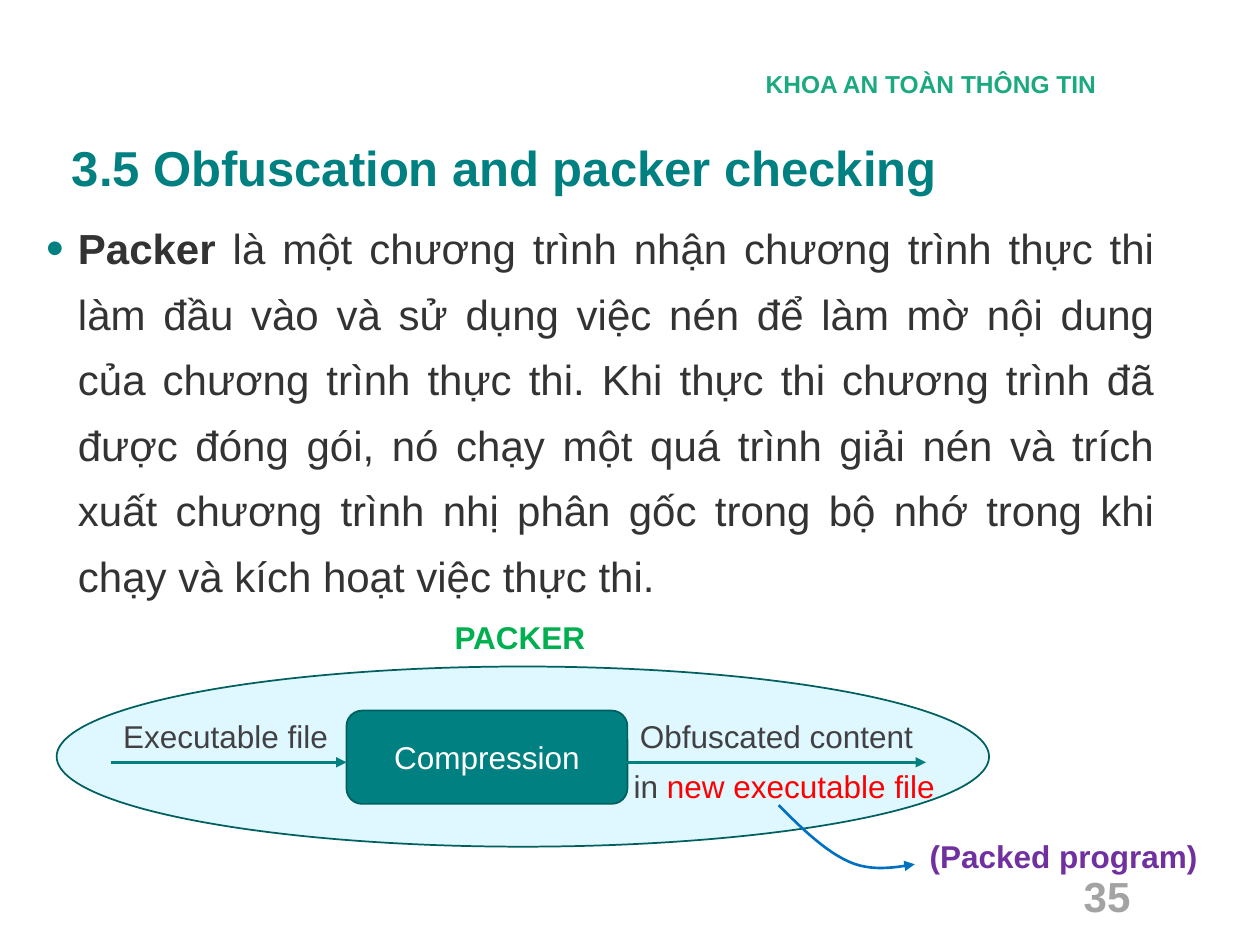
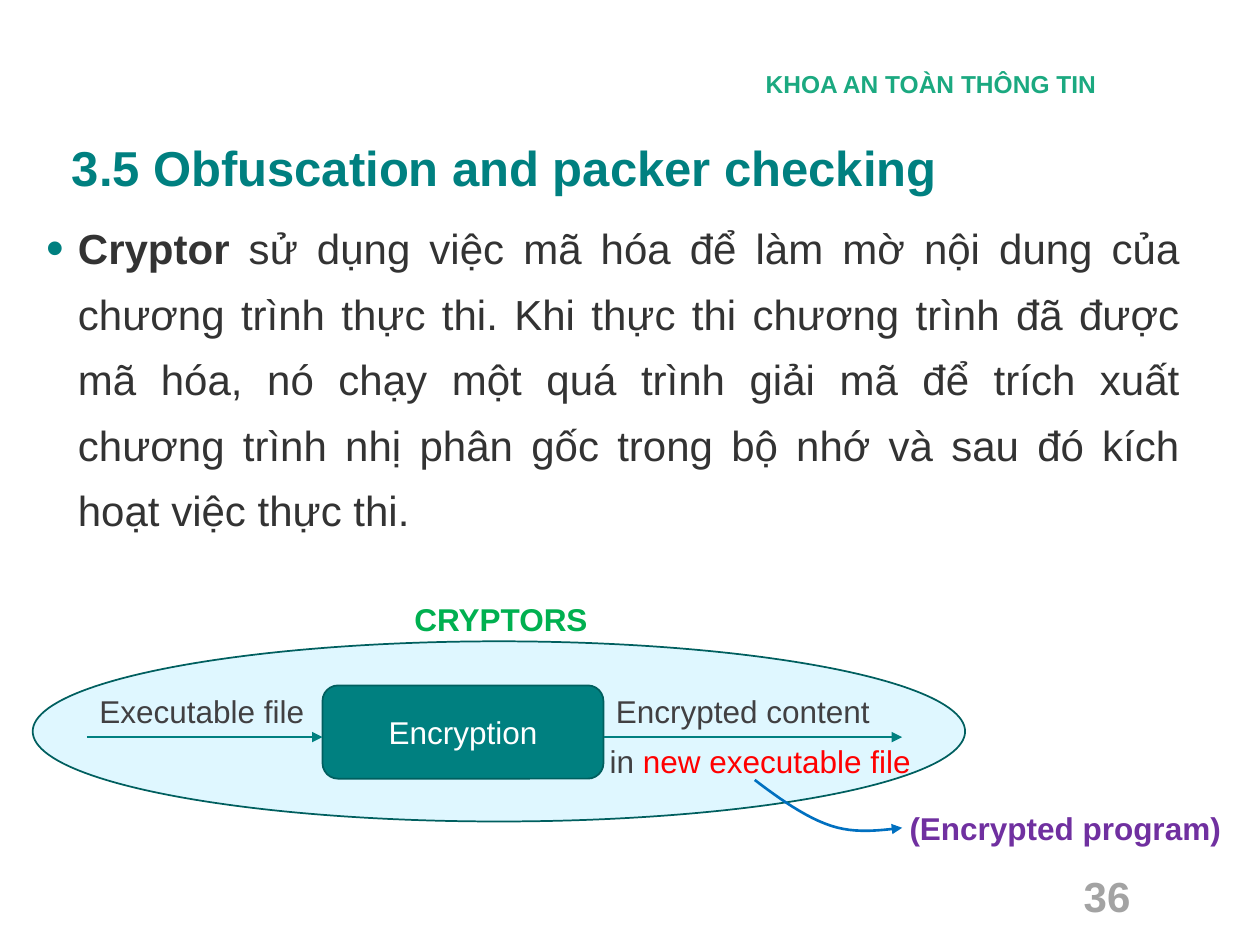
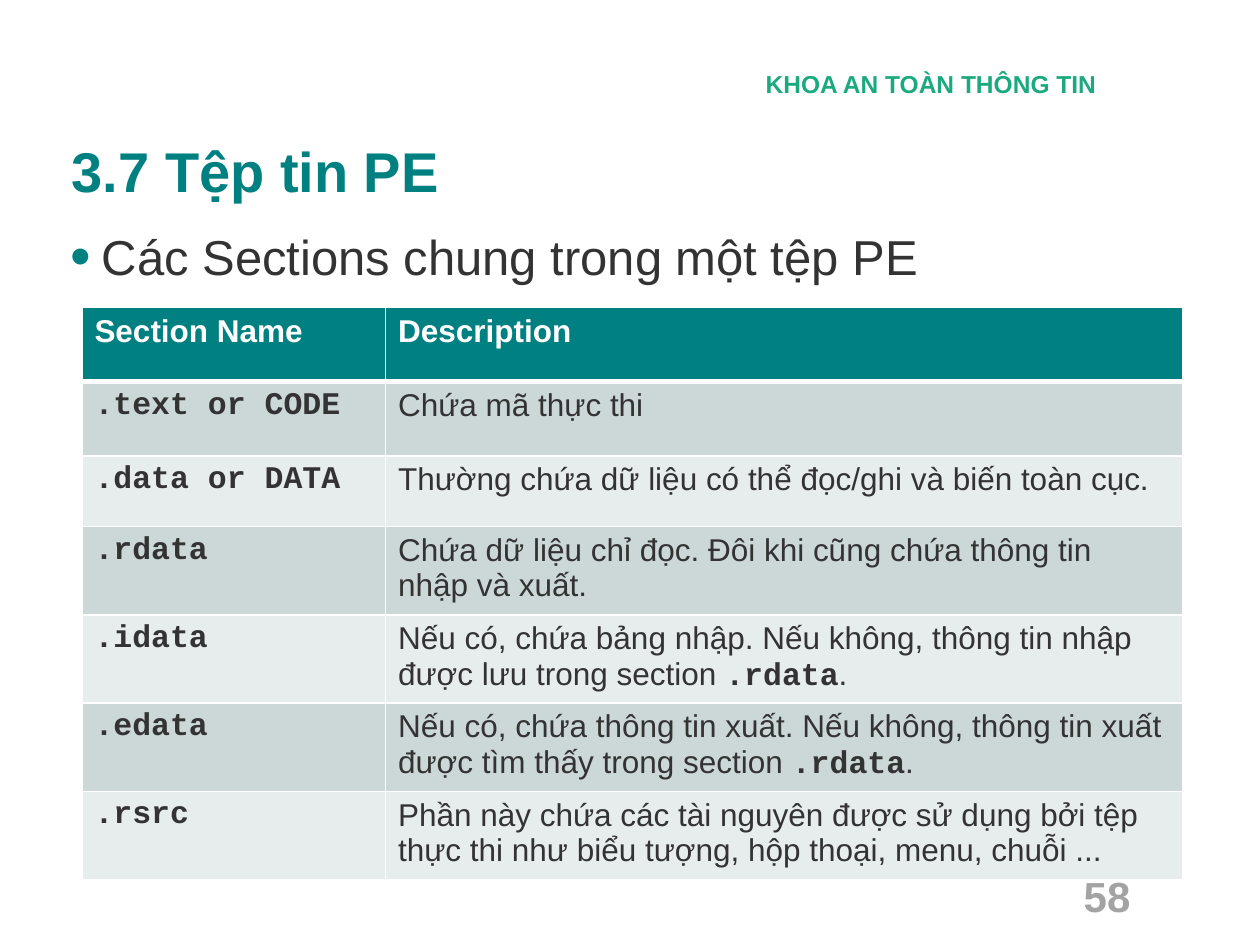
from dataclasses import dataclass
from typing import Optional

import pptx
import pptx.dml.color
import pptx.enum.shapes
import pptx.enum.text
import pptx.oxml
import pptx.oxml.ns
import pptx.shapes.autoshape
import pptx.slide
import pptx.text.text
import pptx.util
from lxml import etree

SHAPES = pptx.enum.shapes.MSO_SHAPE
ALIGN = pptx.enum.text.PP_ALIGN
ANCHOR = pptx.enum.text.MSO_ANCHOR

# The slide is a grid of 100 columns by 75 rows of square cells.
CELL = pptx.util.Inches(0.1)
COLUMNS, ROWS = 100, 75

SANS, MONO = "Arial", "Courier New"
TEAL, DARK_TEAL, PALE_BLUE = "008080", "005F5F", "A9EBFF"
INK, LABEL_GREY, PAGE_GREY = "333333", "414042", "A3A3A3"
WHITE, RED, BLUE = "FFFFFF", "FF0000", "0070C0"
FACULTY_GREEN, NAME_GREEN, PURPLE = "1BA980", "00B050", "7030A0"
BAND_FILLS = ("CCD8D8", "E7EDED")


@dataclass(frozen=True)
class Box:
    col: float
    row: float
    cols: float
    rows: float

    def shifted(self, col: float, row: float) -> "Box":
        return Box(self.col + col, self.row + row, self.cols, self.rows)

    def place(self) -> tuple[int, int, int, int]:
        return grid(self.col), grid(self.row), grid(self.cols), grid(self.rows)


@dataclass(frozen=True)
class Style:
    size: float
    color: str
    bold: bool = False
    face: str = SANS


@dataclass(frozen=True)
class Piece:
    """Part of a line whose font differs from the rest of the line."""
    text: str
    color: Optional[str] = None
    bold: Optional[bool] = None
    face: Optional[str] = None


@dataclass(frozen=True)
class Scheme:
    """One way of hiding a program, with the places of its diagram."""
    page: int
    definition: list[Piece]
    definition_box: Box
    name: str
    step: str
    content: str
    result: str
    col: float
    row: float
    name_box: Box
    result_box: Box
    curve_cols: float
    curve_rows: float


LABEL = Style(18, LABEL_GREY)
BODY = Style(24, INK)

HEADER_BOX = Box(58.7, 5, 29.3, 3.4)
PAGE_BOX = Box(56.9, 69.1, 33.8, 4)
TITLE_BOX = Box(4.7, 10.9, 87.9, 8.1)

# Diagram parts, measured from the corner of the ellipse.
ELLIPSE = Box(0, 0, 74, 14.3)
STEP = Box(23, 3.5, 22.3, 7.4)
INPUT_LABEL = Box(4.3, 3.5, 18.7, 4)
CONTENT_LABEL = Box(45.3, 3.5, 23.7, 4)
FILE_LABEL = Box(44.8, 7.5, 25.9, 4)
FLOW_ROW = 7.6
CURVE_START = (57.3, 11)
# Two cubic pieces as shares of the curve's extent.
CURVE = (((0, 0), (0.17, 0.4), (0.35, 0.79), (0.52, 0.96)),
         ((0.52, 0.96), (0.68, 1.12), (0.84, 1.06), (1, 1)))
CURVE_STEPS = 12

SCHEMES = [
    Scheme(35, [Piece("Packer ", bold=True), Piece(
        "là một chương trình nhận chương trình thực thi làm đầu vào và sử dụng "
        "việc nén để làm mờ nội dung của chương trình thực thi. Khi thực thi "
        "chương trình đã được đóng gói, nó chạy một quá trình giải nén và trích "
        "xuất chương trình nhị phân gốc trong bộ nhớ trong khi chạy và kích hoạt "
        "việc thực thi.")],
        Box(2.7, 16, 89.9, 57.7), "PACKER", "Compression", "Obfuscated content",
        "(Packed program)", 4.5, 52.9, Box(30.6, -4.3, 12.7, 4),
        Box(68.3, 13, 25.2, 4), 10.8, 4.7),
    Scheme(36, [Piece("Cryptor", bold=True), Piece(
        " sử dụng việc mã hóa để làm mờ nội dung của chương trình thực thi. Khi "
        "thực thi chương trình đã được mã hóa, nó chạy một quá trình giải mã để "
        "trích xuất chương trình nhị phân gốc trong bộ nhớ và sau đó kích hoạt "
        "việc thực thi.")],
        Box(2.7, 16, 91.9, 55.6), "CRYPTORS", "Encryption", "Encrypted content",
        "(Encrypted program)", 2.6, 50.9, Box(29.3, -3.8, 16, 4),
        Box(68.6, 12.8, 27.2, 4), 11.7, 3.8),
]

RDATA = Piece(".rdata", bold=True, face=MONO)
SECTIONS = [
    (".text or CODE", [Piece("Chứa mã thực thi")]),
    (".data or DATA",
     [Piece("Thường chứa dữ liệu có thể đọc/ghi và biến toàn cục.")]),
    (".rdata",
     [Piece("Chứa dữ liệu chỉ đọc. Đôi khi cũng chứa thông tin nhập và xuất.")]),
    (".idata",
     [Piece("Nếu có, chứa bảng nhập. Nếu không, thông tin nhập được lưu trong "
            "section "), RDATA, Piece(".")]),
    (".edata",
     [Piece("Nếu có, chứa thông tin xuất. Nếu không, thông tin xuất được tìm "
            "thấy trong section "), RDATA, Piece(".")]),
    (".rsrc",
     [Piece("Phần này chứa các tài nguyên được sử dụng bởi tệp thực thi như "
            "biểu tượng, hộp thoại, menu, chuỗi ...")]),
]
SECTION_COLS = (24.1, 63.3)
SECTION_ROWS = (5.9, 5.9, 5.6, 5.9, 5.9, 5.9, 5.9)
TABLE_BOX = Box(6.5, 24.4, sum(SECTION_COLS), sum(SECTION_ROWS))


def grid(cells: float) -> int:
    return round(cells * CELL)


def rgb(color: str) -> pptx.dml.color.RGBColor:
    return pptx.dml.color.RGBColor.from_string(color)


def add_xml(parent: etree._Element, tag: str, **attributes: str) -> etree._Element:
    child = etree.SubElement(parent, pptx.oxml.ns.qn(tag))
    for key, value in attributes.items():
        child.set(key, value)
    return child


def write(paragraph: pptx.text.text._Paragraph, pieces: list[Piece],
          style: Style) -> None:
    font = paragraph.font
    font.name, font.size, font.bold = style.face, pptx.util.Pt(style.size), style.bold
    font.color.rgb = rgb(style.color)
    for piece in pieces:
        run = paragraph.add_run()
        run.text = piece.text
        if piece.color:
            run.font.color.rgb = rgb(piece.color)
        if piece.bold is not None:
            run.font.bold = piece.bold
        if piece.face:
            run.font.name = piece.face


def add_text(slide: pptx.slide.Slide, box: Box, pieces: list[Piece], style: Style,
             align: ALIGN = ALIGN.LEFT, anchor: ANCHOR = ANCHOR.TOP) -> None:
    frame = slide.shapes.add_textbox(*box.place()).text_frame
    frame.word_wrap = False
    frame.vertical_anchor = anchor
    frame.paragraphs[0].alignment = align
    write(frame.paragraphs[0], pieces, style)


def add_bullet(slide: pptx.slide.Slide, box: Box, pieces: list[Piece], style: Style,
               align: ALIGN) -> None:
    frame = slide.shapes.add_textbox(*box.place()).text_frame
    frame.word_wrap = True
    paragraph = frame.paragraphs[0]
    properties = paragraph._p.get_or_add_pPr()
    indent = grid(2.5)
    properties.set("marL", str(indent))
    properties.set("indent", str(-indent))
    add_xml(add_xml(properties, "a:buClr"), "a:srgbClr", val=TEAL)
    add_xml(properties, "a:buSzPct", val="120000")
    add_xml(properties, "a:buFont", typeface=SANS)
    add_xml(properties, "a:buChar", char="•")
    paragraph.alignment = align
    paragraph.line_spacing = 1.3
    write(paragraph, pieces, style)


def add_figure(slide: pptx.slide.Slide, kind: SHAPES, box: Box,
               fill: str) -> pptx.shapes.autoshape.Shape:
    figure = slide.shapes.add_shape(kind, *box.place())
    figure.shadow.inherit = False
    figure.fill.solid()
    figure.fill.fore_color.rgb = rgb(fill)
    figure.line.color.rgb = rgb(DARK_TEAL)
    figure.line.width = pptx.util.Pt(1)
    return figure


def point_arrow(line: pptx.dml.line.LineFormat, color: str) -> None:
    """Style a line and put a triangle at its end."""
    line.color.rgb = rgb(color)
    line.width = pptx.util.Pt(1.5)
    add_xml(line._get_or_add_ln(), "a:tailEnd", type="triangle")


def add_flow(slide: pptx.slide.Slide, start: float, end: float, row: float) -> None:
    flow = slide.shapes.add_connector(
        pptx.enum.shapes.MSO_CONNECTOR.STRAIGHT,
        grid(start), grid(row), grid(end), grid(row))
    point_arrow(flow.line, TEAL)
    add_xml(flow._element.spPr, "a:effectLst")


def curve_points(scheme: Scheme) -> list[tuple[int, int]]:
    points = []
    for a, b, c, d in CURVE:
        for step in range(CURVE_STEPS + 1):
            t = step / CURVE_STEPS
            x, y = ((1 - t) ** 3 * p + 3 * t * (1 - t) ** 2 * q
                    + 3 * t ** 2 * (1 - t) * r + t ** 3 * s
                    for p, q, r, s in zip(a, b, c, d))
            points.append((grid(scheme.col + CURVE_START[0] + x * scheme.curve_cols),
                           grid(scheme.row + CURVE_START[1] + y * scheme.curve_rows)))
    return points


def add_result_curve(slide: pptx.slide.Slide, scheme: Scheme) -> None:
    start, *rest = curve_points(scheme)
    builder = slide.shapes.build_freeform(*start)
    builder.add_line_segments(rest, close=False)
    curve = builder.convert_to_shape()
    curve.shadow.inherit = False
    curve.fill.background()
    point_arrow(curve.line, BLUE)


def add_slide(deck: pptx.presentation.Presentation, title: str, title_size: float,
              page: int) -> pptx.slide.Slide:
    """Add a slide with the faculty header, its title and its page number."""
    slide = deck.slides.add_slide(deck.slide_layouts.get_by_name("Title Only"))
    heading = slide.shapes.title
    heading.left, heading.top, heading.width, heading.height = TITLE_BOX.place()
    frame = heading.text_frame
    frame.auto_size = pptx.enum.text.MSO_AUTO_SIZE.NONE
    frame.vertical_anchor = ANCHOR.TOP
    frame.paragraphs[0].alignment = ALIGN.LEFT
    frame.paragraphs[0].line_spacing = 0.9
    write(frame.paragraphs[0], [Piece(title)], Style(title_size, TEAL, True))
    add_text(slide, HEADER_BOX, [Piece("KHOA AN TOÀN THÔNG TIN")],
             Style(14, FACULTY_GREEN, True), ALIGN.RIGHT)
    add_text(slide, PAGE_BOX, [Piece(str(page))], Style(24, PAGE_GREY, True),
             ALIGN.RIGHT, ANCHOR.MIDDLE)
    return slide


def add_scheme_slide(deck: pptx.presentation.Presentation, scheme: Scheme) -> None:
    slide = add_slide(deck, "3.5 Obfuscation and packer checking", 28, scheme.page)
    add_bullet(slide, scheme.definition_box, scheme.definition, BODY, ALIGN.JUSTIFY)

    origin = scheme.col, scheme.row
    ellipse = add_figure(slide, SHAPES.OVAL, ELLIPSE.shifted(*origin), PALE_BLUE)
    tint = ellipse._element.spPr.find(pptx.oxml.ns.qn("a:solidFill"))[0]
    add_xml(tint, "a:alpha", val="36000")

    step_box = STEP.shifted(*origin)
    step = add_figure(slide, SHAPES.ROUNDED_RECTANGLE, step_box, TEAL)
    step.text_frame.vertical_anchor = ANCHOR.MIDDLE
    step.text_frame.paragraphs[0].alignment = ALIGN.CENTER
    write(step.text_frame.paragraphs[0], [Piece(scheme.step)], Style(18, WHITE))

    step_end = step_box.col + step_box.cols
    flow_row = scheme.row + FLOW_ROW
    add_flow(slide, scheme.col + INPUT_LABEL.col, step_box.col, flow_row)
    add_flow(slide, step_end, step_end + CONTENT_LABEL.cols, flow_row)
    add_result_curve(slide, scheme)

    labels = [
        (INPUT_LABEL, [Piece("Executable file")], LABEL),
        (CONTENT_LABEL, [Piece(scheme.content)], LABEL),
        (FILE_LABEL, [Piece("in "), Piece("new executable file", color=RED)], LABEL),
        (scheme.result_box, [Piece(scheme.result)], Style(18, PURPLE, True)),
        (scheme.name_box, [Piece(scheme.name)], Style(18, NAME_GREEN, True)),
    ]
    for box, pieces, style in labels:
        add_text(slide, box.shifted(*origin), pieces, style)


def fill_cell(cell: pptx.table._Cell, pieces: list[Piece], style: Style, fill: str,
              top: float, bottom: float) -> None:
    properties = cell._tc.get_or_add_tcPr()
    for side, width in (("L", 1), ("R", 1), ("T", top), ("B", bottom)):
        border = add_xml(properties, f"a:ln{side}", w=str(pptx.util.Pt(width)))
        add_xml(add_xml(border, "a:solidFill"), "a:srgbClr", val=WHITE)
    cell.fill.solid()
    cell.fill.fore_color.rgb = rgb(fill)
    write(cell.text_frame.paragraphs[0], pieces, style)


def add_sections_slide(deck: pptx.presentation.Presentation) -> None:
    slide = add_slide(deck, "3.7 Tệp tin PE", 32, 58)
    add_bullet(slide, Box(4.6, 16.1, 93.5, 51.2),
               [Piece("Các Sections chung trong một tệp PE")], Style(28, INK),
               ALIGN.LEFT)
    table = slide.shapes.add_table(len(SECTION_ROWS), len(SECTION_COLS),
                                   *TABLE_BOX.place()).table
    for column, cols in zip(table.columns, SECTION_COLS):
        column.width = grid(cols)
    for row, rows in zip(table.rows, SECTION_ROWS):
        row.height = grid(rows)
    for index, heading in enumerate(("Section Name", "Description")):
        fill_cell(table.cell(0, index), [Piece(heading)], Style(18, WHITE, True),
                  TEAL, 1, 3)
    for index, (name, description) in enumerate(SECTIONS):
        fill = BAND_FILLS[index % 2]
        top = 1 if index else 3
        fill_cell(table.cell(index + 1, 0), [Piece(name)],
                  Style(18, INK, True, MONO), fill, top, 1)
        fill_cell(table.cell(index + 1, 1), description, Style(18, INK), fill, top, 1)


def main() -> None:
    deck = pptx.Presentation()
    deck.slide_width, deck.slide_height = grid(COLUMNS), grid(ROWS)
    for scheme in SCHEMES:
        add_scheme_slide(deck, scheme)
    add_sections_slide(deck)
    deck.save("out.pptx")


if __name__ == "__main__":
    main()
